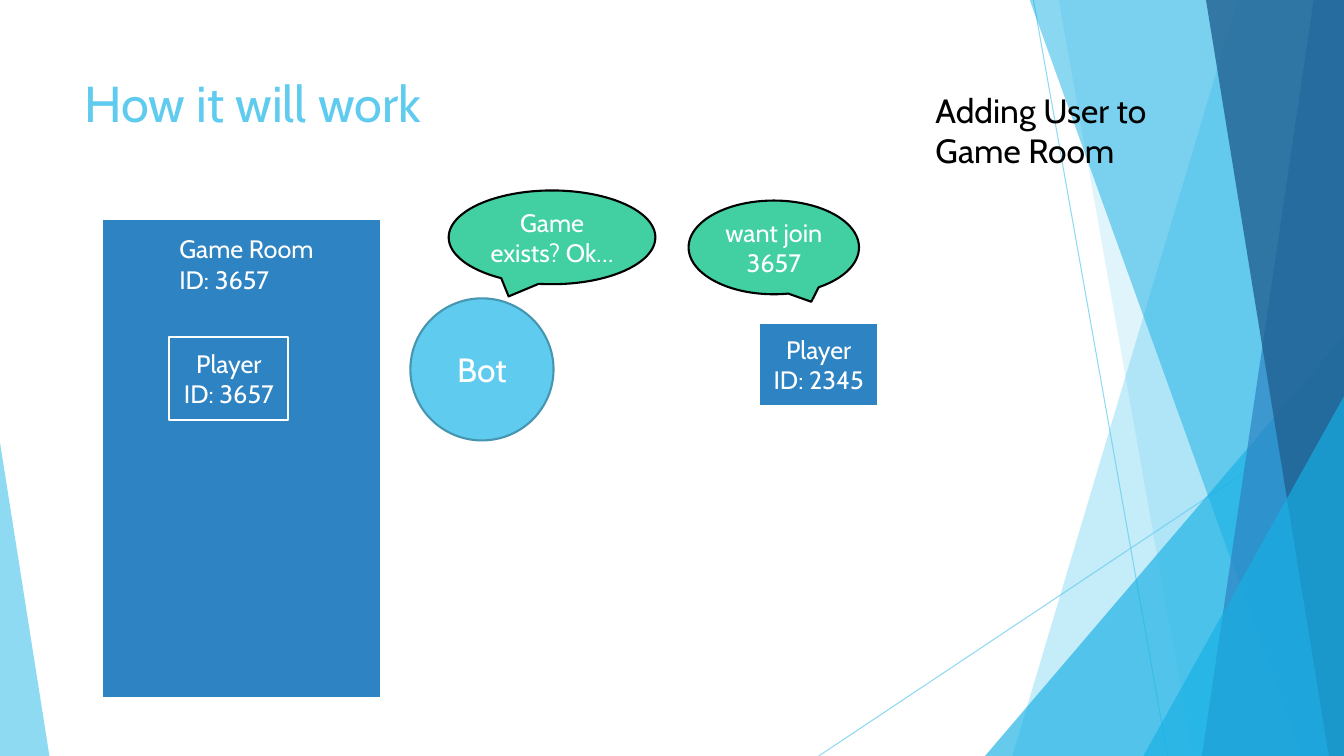
from lxml import etree
from pptx import Presentation
from pptx.dml.color import RGBColor
from pptx.enum.shapes import MSO_CONNECTOR, MSO_SHAPE
from pptx.enum.text import MSO_ANCHOR, PP_ALIGN
from pptx.oxml.ns import qn
from pptx.util import Pt

EMU_PER_PX = 9144
WIDTH, HEIGHT = 1333, 750
FONT = "Cabin"

SKY = RGBColor(0x5F, 0xCB, 0xEF)
CYAN = RGBColor(0x17, 0xB0, 0xE4)
BLUE = RGBColor(0x2E, 0x83, 0xC3)
NAVY = RGBColor(0x22, 0x62, 0x92)
TEAL = RGBColor(0x46, 0x96, 0xB1)
GREEN = RGBColor(0x42, 0xD0, 0xA2)
WHITE = RGBColor(0xFF, 0xFF, 0xFF)
BLACK = RGBColor(0x00, 0x00, 0x00)

STRAIGHT = MSO_CONNECTOR.STRAIGHT
RECTANGLE = MSO_SHAPE.RECTANGLE
OVAL = MSO_SHAPE.OVAL
TRIANGLE = MSO_SHAPE.ISOSCELES_TRIANGLE
CALLOUT = MSO_SHAPE.OVAL_CALLOUT
CENTER, LEFT = PP_ALIGN.CENTER, PP_ALIGN.LEFT
MIDDLE, TOP = MSO_ANCHOR.MIDDLE, MSO_ANCHOR.TOP


def px(*lengths):
    return [length * EMU_PER_PX for length in lengths]


def set_opacity(shape, percent):
    for color in shape.element.iter(qn("a:srgbClr")):
        etree.SubElement(color, qn("a:alpha"), val=str(percent * 1000))


def fill_facet(shape, color, opacity):
    shape.shadow.inherit = False
    shape.fill.solid()
    shape.fill.fore_color.rgb = color
    shape.line.fill.background()
    set_opacity(shape, opacity)


def add_thin_line(slide, start, end):
    line = slide.shapes.add_connector(STRAIGHT, *px(*start, *end))
    line.line.color.rgb = SKY
    line.line.width = Pt(0.75)
    etree.SubElement(line.element.spPr, qn("a:effectLst"))
    set_opacity(line, 70)


def add_band(slide, top_left, bottom_left, color, opacity):
    builder = slide.shapes.build_freeform(top_left, -1, scale=EMU_PER_PX)
    builder.add_line_segments([(WIDTH, -1), (WIDTH, HEIGHT), (bottom_left, HEIGHT)])
    fill_facet(builder.convert_to_shape(), color, opacity)


def add_triangle(slide, box, apex, color, opacity):
    triangle = slide.shapes.add_shape(TRIANGLE, *px(*box))
    triangle.adjustments[0] = apex
    fill_facet(triangle, color, opacity)


def write(shape, lines, size, color, align, anchor):
    frame = shape.text_frame
    frame.word_wrap = True
    frame.vertical_anchor = anchor
    for index, line in enumerate(lines):
        paragraph = frame.paragraphs[0] if index == 0 else frame.add_paragraph()
        paragraph.alignment = align
        run = paragraph.add_run()
        run.text = line
        run.font.name = FONT
        run.font.size = Pt(size)
        run.font.color.rgb = color


def add_text(slide, box, lines, size, color):
    write(slide.shapes.add_textbox(*px(*box)), lines, size, color, LEFT, TOP)


def add_node(slide, kind, box, fill, outline, lines=(), size=18):
    node = slide.shapes.add_shape(kind, *px(*box))
    node.shadow.inherit = False
    node.fill.solid()
    node.fill.fore_color.rgb = fill
    node.line.color.rgb = outline
    node.line.width = Pt(1.5)
    write(node, lines, size, WHITE, CENTER, MIDDLE)
    return node


def add_player(slide, left, top, player_id):
    add_node(slide, RECTANGLE, (left, top, 118, 83), BLUE, WHITE,
             ["Player", f"ID: {player_id}"])


def add_speech(slide, box, tail, text):
    bubble = add_node(slide, CALLOUT, box, GREEN, BLACK, [text])
    bubble.adjustments[0], bubble.adjustments[1] = tail


def add_background(slide):
    add_thin_line(slide, (1025, 0), (1158, HEIGHT))
    add_thin_line(slide, (WIDTH, 403), (812, HEIGHT))
    add_band(slide, 1228, 1004, SKY, 36)
    add_band(slide, 1050, 1183, SKY, 20)
    add_triangle(slide, (977, 333, 356, 417), 1, CYAN, 66)
    add_band(slide, 1021, 1291, CYAN, 50)
    add_band(slide, 1303, 1192, BLUE, 70)
    add_band(slide, 1196, 1318, NAVY, 80)
    add_triangle(slide, (1134, 393, 199, 357), 1, CYAN, 66)
    add_triangle(slide, (0, 439, 49, 311), 0, SKY, 70)


def main():
    presentation = Presentation()
    presentation.slide_width, presentation.slide_height = px(WIDTH, HEIGHT)
    slide = presentation.slides.add_slide(presentation.slide_layouts[6])

    add_background(slide)
    add_node(slide, RECTANGLE, (101, 217, 277, 476), BLUE, WHITE)
    add_text(slide, (74, 67, 940, 144), ["How it will work"], 36, SKY)
    add_node(slide, OVAL, (407, 296, 142, 141), SKY, TEAL, ["Bot"], 24)
    add_player(slide, 168, 334, 3657)
    add_speech(slide, (683, 199, 169, 93), (0.22, 0.58), "want join 3657")
    add_speech(slide, (445, 189, 205, 93), (-0.21, 0.63), "Game exists? Ok…")
    add_text(slide, (168, 227, 164, 71), ["Game Room", "ID: 3657"], 18, WHITE)
    add_player(slide, 753, 320, 2345)
    add_text(slide, (918, 84, 256, 91), ["Adding User to Game Room"], 24, BLACK)

    presentation.save("out.pptx")


if __name__ == "__main__":
    main()
